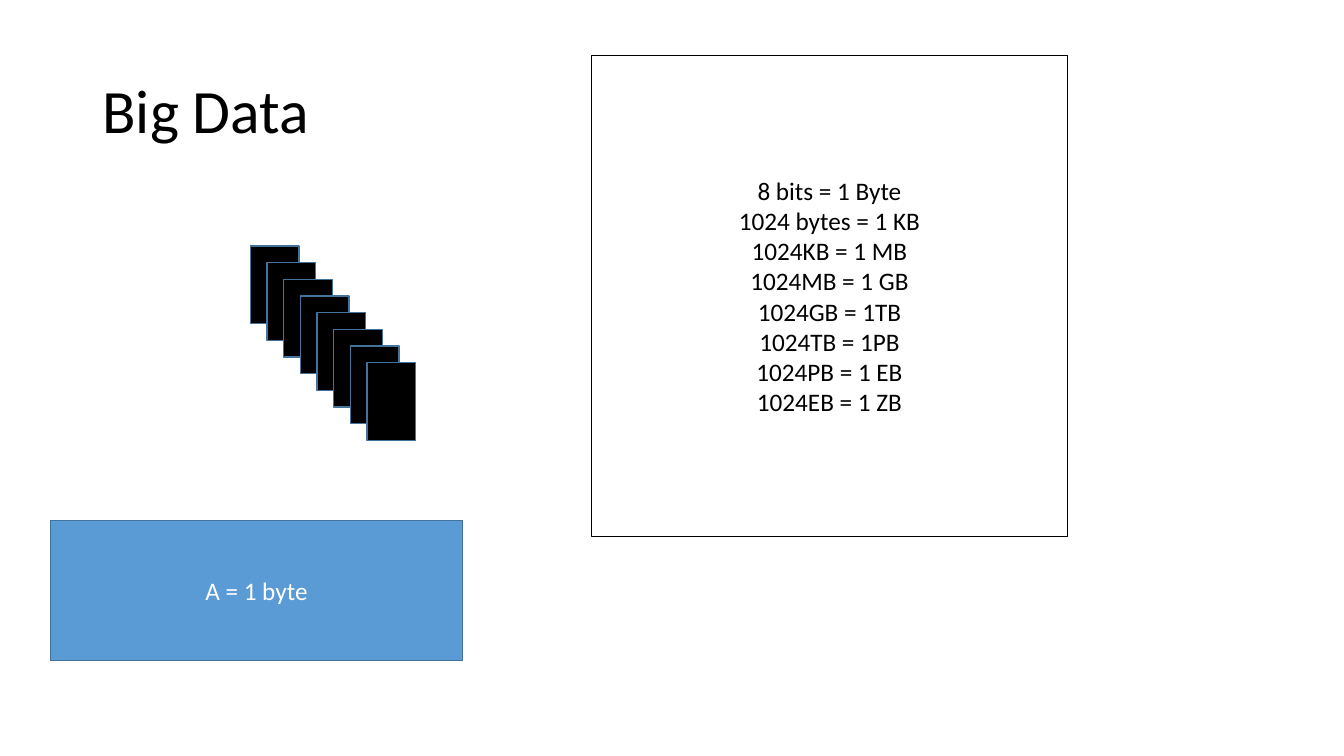
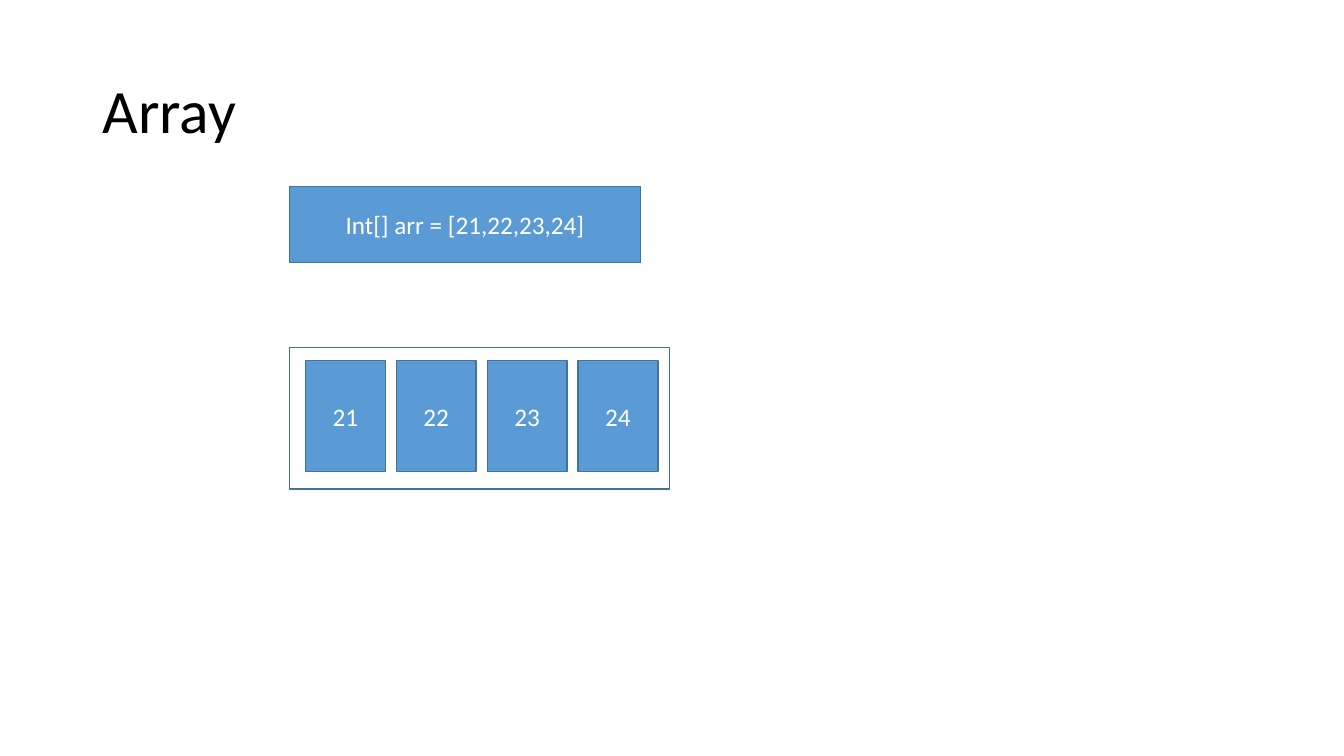
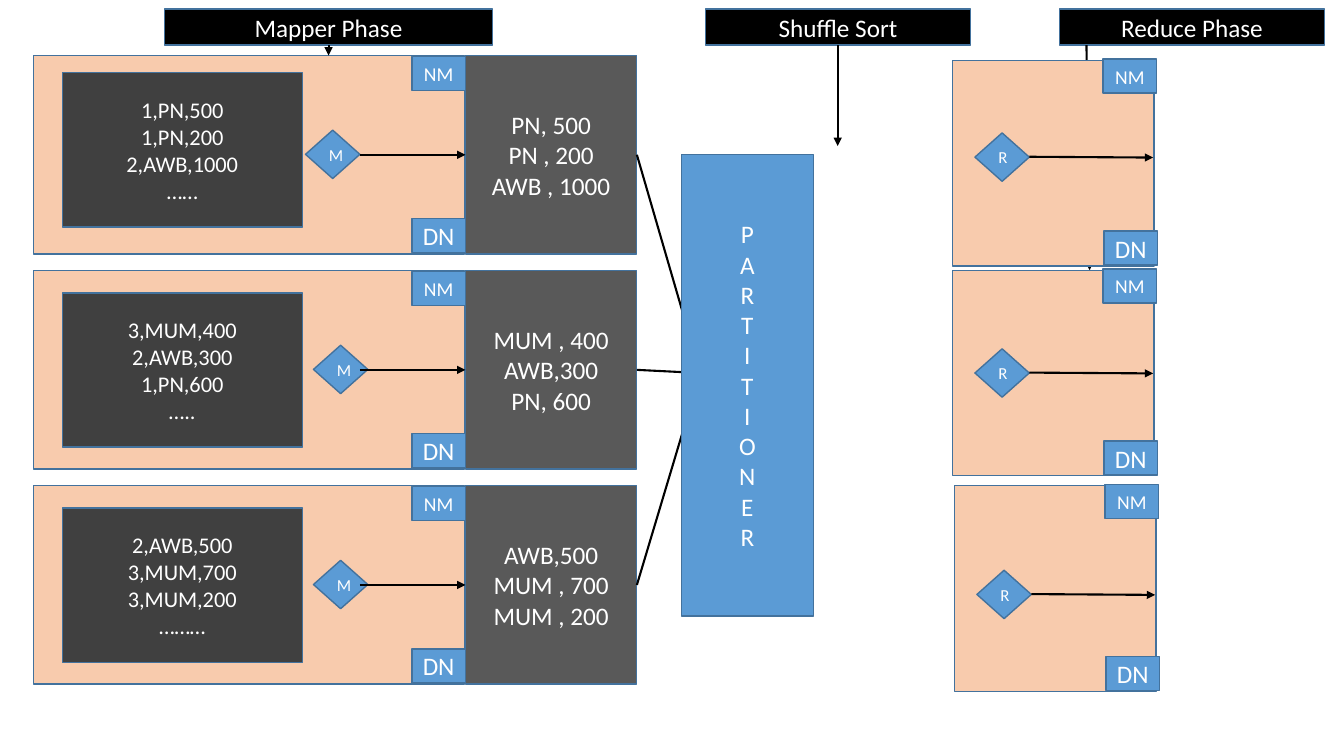
from pptx import Presentation
from pptx.dml.color import RGBColor
from pptx.enum.shapes import MSO_CONNECTOR, MSO_SHAPE
from pptx.enum.text import MSO_ANCHOR, PP_ALIGN
from pptx.oxml.ns import qn
from pptx.util import Cm, Pt
from lxml.etree import SubElement

# Shared style
FONT = "Calibri"
BLACK, WHITE = "000000", "FFFFFF"
BLUE, EDGE = "5B9BD5", "43729D"
PEACH, DARK, GREY = "F8CBAD", "404040", "595959"


def color(code):
    return RGBColor.from_string(code)


def write(frame, text, size=18, ink=WHITE, align=PP_ALIGN.CENTER, space=None):
    """Fill a frame: newline starts a paragraph, vertical tab breaks a line."""
    frame.text = text
    frame.word_wrap = True
    frame.vertical_anchor = MSO_ANCHOR.MIDDLE
    for para in frame.paragraphs:
        para.alignment = align
        para.line_spacing = space
        for run in para.runs:
            run.font.name = FONT
            run.font.size = Pt(size)
            run.font.color.rgb = color(ink)


class Deck:
    def __init__(self):
        self.show = Presentation()
        self.show.slide_width, self.show.slide_height = Cm(33.87), Cm(19.05)
        self.slide = None

    def page(self, title=None):
        layout = self.show.slide_layouts[5 if title else 6]
        self.slide = self.show.slides.add_slide(layout)
        if title:
            head = self.slide.shapes.title
            head.left, head.top = Cm(2.33), Cm(1.01)
            head.width, head.height = Cm(29.21), Cm(3.68)
            write(head.text_frame, title, size=44, ink=BLACK,
                  align=PP_ALIGN.LEFT, space=0.9)

    def box(self, x, y, w, h, text="", fill=BLUE, line=EDGE,
            kind=MSO_SHAPE.RECTANGLE, **style):
        shape = self.slide.shapes.add_shape(kind, Cm(x), Cm(y), Cm(w), Cm(h))
        shape.shadow.inherit = False
        if fill:
            shape.fill.solid()
            shape.fill.fore_color.rgb = color(fill)
        else:
            shape.fill.background()
        shape.line.color.rgb = color(line)
        shape.line.width = Pt(1)
        if text:
            write(shape.text_frame, text, **style)

    def badge(self, x, y, text, size):
        self.box(x, y, 1.35, 0.86, text, size=size)

    def gem(self, x, y, text):
        self.box(x, y, 1.37, 1.22, text, kind=MSO_SHAPE.DIAMOND, size=12)

    def arrow(self, x1, y1, x2, y2):
        link = self.slide.shapes.add_connector(
            MSO_CONNECTOR.STRAIGHT, Cm(x1), Cm(y1), Cm(x2), Cm(y2))
        link.line.color.rgb = color(BLACK)
        link.line.width = Pt(1.5)
        SubElement(link.line._get_or_add_ln(), qn("a:tailEnd"), type="triangle")
        SubElement(link._element.spPr, qn("a:effectLst"))


deck = Deck()

# Slide 1: units of data
deck.page("Big Data")
for i in range(8):
    deck.box(6.31 + 0.42 * i, 6.2 + 0.42 * i, 1.23, 1.96, fill=BLACK)
UNITS = ["8 bits = 1 Byte", "1024 bytes = 1 KB", "1024KB = 1 MB",
         "1024MB = 1 GB", "1024GB = 1TB", "1024TB = 1PB",
         "1024PB = 1 EB", "1024EB = 1 ZB"]
deck.box(14.91, 1.4, 11.99, 12.12, "\n".join(UNITS),
         fill=WHITE, line=BLACK, ink=BLACK)
deck.box(1.27, 13.11, 10.39, 3.53, "A = 1 byte")

# Slide 2: array and its cells
deck.page("Array")
for i, value in enumerate([21, 22, 23, 24]):
    deck.box(7.7 + 2.29 * i, 9.09, 2.01, 2.79, str(value))
deck.box(7.29, 8.76, 9.58, 3.56, fill=None)
deck.box(7.29, 4.7, 8.86, 1.91, "Int[] arr = [21,22,23,24]")

# Slide 3: map, shuffle and reduce
deck.page()

# Mappers: input, its offset, diamond left, output
MAPPERS = [
    ("1,PN,500\n1,PN,200\n2,AWB,1000\n……", 0.43, 7.7,
     "PN, 500\nPN , 200\nAWB , 1000"),
    ("3,MUM,400\n2,AWB,300\n1,PN,600\n…..", 0.56, 7.9,
     "MUM , 400\nAWB,300\nPN, 600"),
    ("2,AWB,500\n3,MUM,700\n3,MUM,200\n………", 0.56, 7.9,
     "AWB,500\nMUM , 700\nMUM , 200"),
]
for i, (rows, drop, left, pairs) in enumerate(MAPPERS):
    top = 1.4 + 5.42 * i
    deck.box(0.84, top, 10.87, 5, fill=PEACH)
    deck.box(1.57, top + drop, 6.05, 3.89, rows, fill=DARK, size=16)
    deck.gem(left, top + 1.88, "M")
    deck.badge(10.38, top + 4.11, "DN", 18)
    deck.badge(10.38, top + 0.02, "NM", 14)
    deck.box(11.73, top, 4.32, 5, pairs, fill=GREY)
    deck.arrow(9.07, top + 2.5, 11.73, top + 2.5)
    deck.arrow(16.05, top + 2.5, 17.65, 9.4)

# Phases: name, left, width, arrow start and end
PHASES = [
    ("Mapper Phase", 4.14, 8.28, 8.28, 8.28, 1.4),
    ("Shuffle Sort", 17.78, 6.68, 21.11, 21.11, 3.68),
    ("Reduce Phase", 26.7, 6.68, 27.38, 27.46, 6.81),
]
for name, left, width, start, end, foot in PHASES:
    deck.box(left, 0.23, width, 0.91, name, fill=BLACK)
    deck.arrow(start, 1.14, end, foot)

# Reducers: left, top, diamond offset
for left, top, drop in [(24, 1.52, 1.83), (24, 6.81, 1.98), (24.05, 12.24, 2.13)]:
    deck.box(left, top, 5.08, 5.18, fill=PEACH)
    deck.badge(left + 3.8, top - 0.03, "NM", 14)
    deck.badge(left + 3.82, top + 4.3, "DN", 18)
    deck.gem(left + 0.57, top + drop, "R")
    deck.arrow(left + 1.94, top + drop + 0.6, left + 5.06, top + drop + 0.62)

deck.box(17.17, 3.89, 3.33, 11.63, "\v".join("PARTITIONER"))

deck.show.save("out.pptx")
